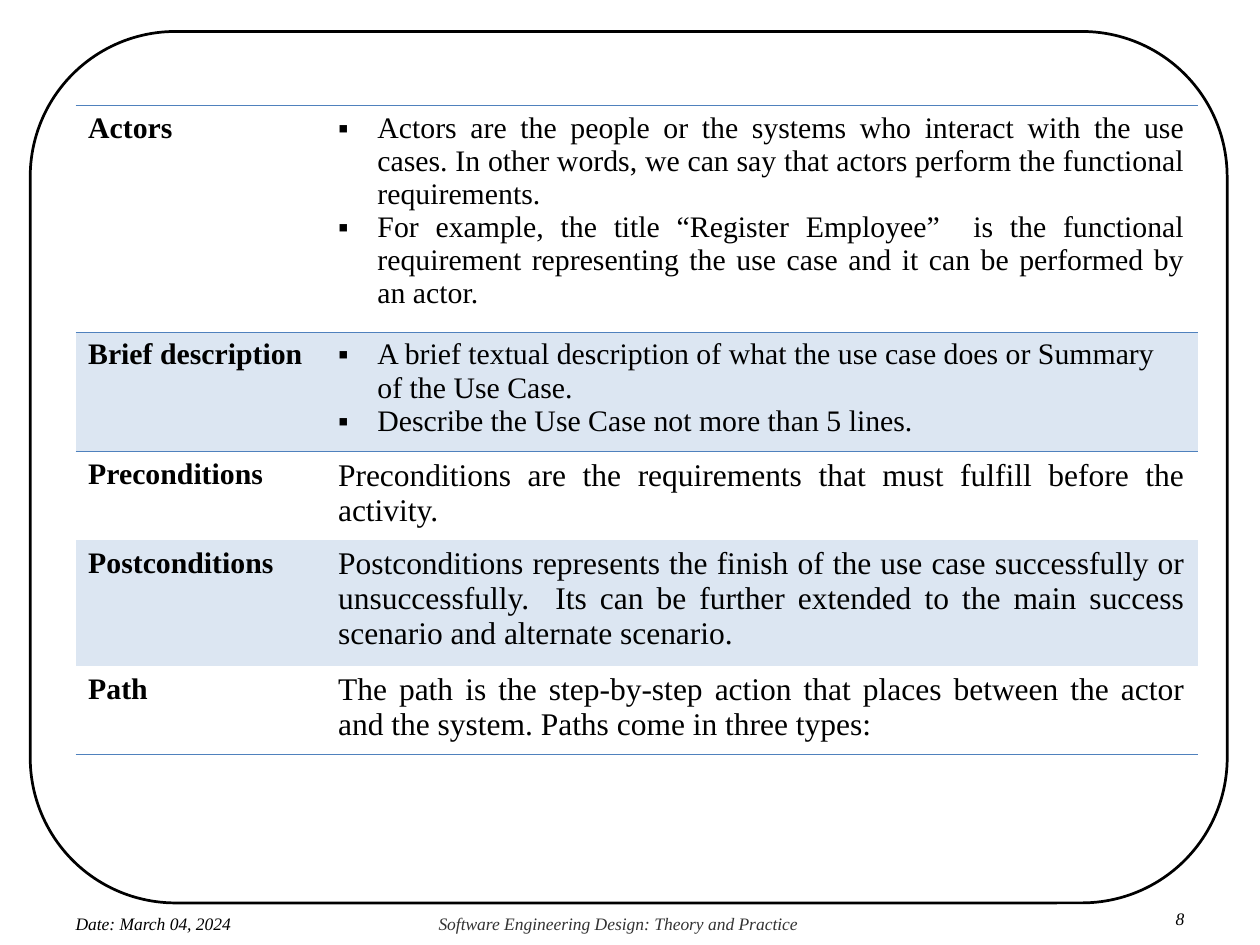
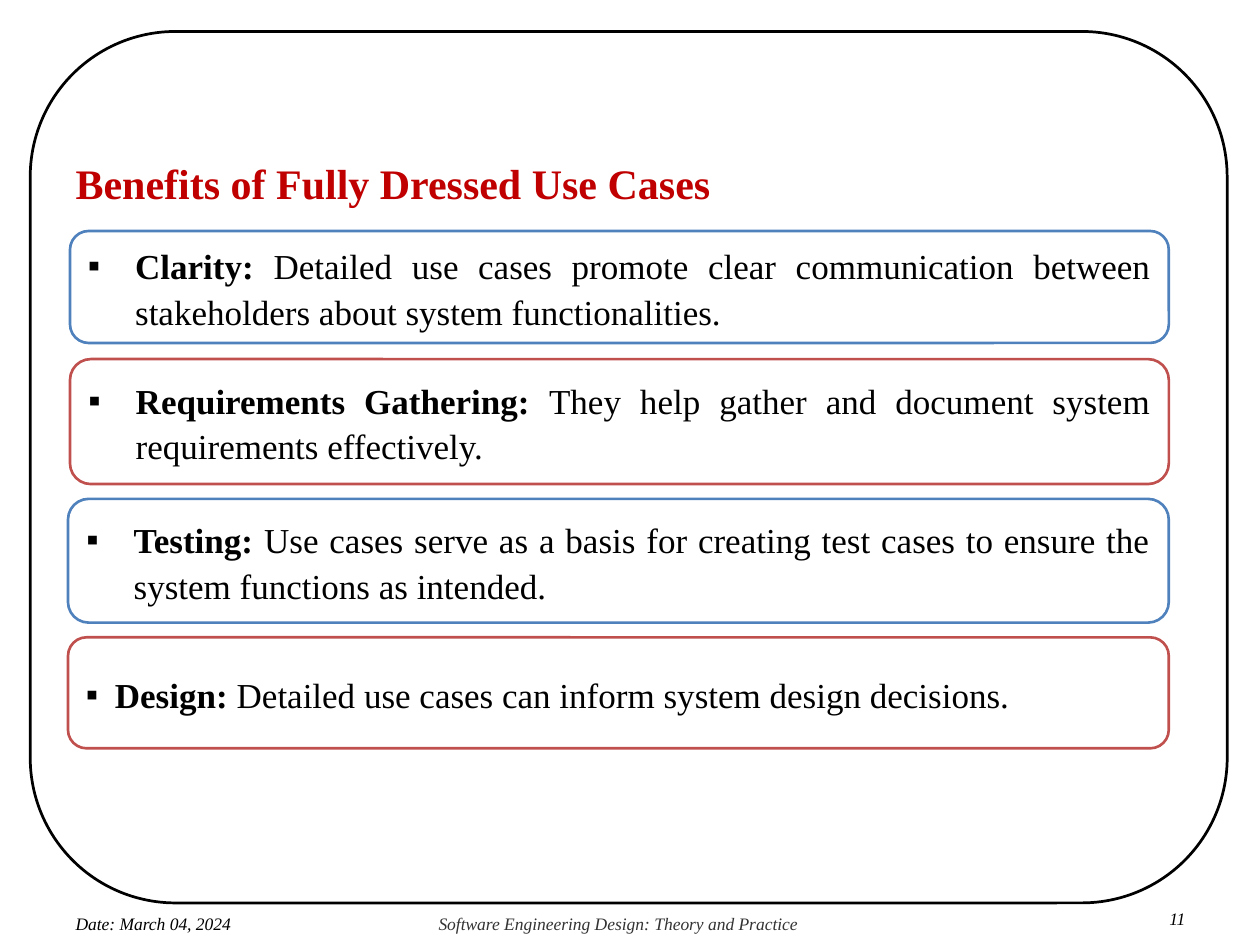
from lxml import etree
from pptx import Presentation
from pptx.dml.color import RGBColor
from pptx.enum import shapes, text
from pptx.oxml import ns
from pptx.util import Pt

BLACK = RGBColor(0x00, 0x00, 0x00)
WHITE = RGBColor(0xFF, 0xFF, 0xFF)
GREY = RGBColor(0x33, 0x33, 0x33)
BLUE = RGBColor(0x4F, 0x81, 0xBD)
RED = RGBColor(0xC0, 0x50, 0x4D)
TITLE_RED = RGBColor(0xC0, 0x00, 0x00)
BAND = RGBColor(0xDC, 0xE6, 0xF2)
FONT = "Times New Roman"
NO_TABLE_STYLE = "{2D5ABB26-0587-4C30-8999-92F81FD0307C}"


def add_bullet(paragraph, hang):
    properties = paragraph._p.get_or_add_pPr()
    properties.set("marL", str(Pt(hang)))
    properties.set("indent", str(-Pt(hang)))
    color = etree.SubElement(properties, ns.qn("a:buClr"))
    etree.SubElement(color, ns.qn("a:srgbClr")).set("val", str(BLACK))
    etree.SubElement(properties, ns.qn("a:buFont")).set("typeface", FONT)
    etree.SubElement(properties, ns.qn("a:buChar")).set("char", "▪")


def add_run(paragraph, words, color=BLACK, **formats):
    run = paragraph.add_run()
    run.text = words
    run.font.color.rgb = color
    for name, value in {"name": FONT, "bold": False, **formats}.items():
        setattr(run.font, name, value)


presentation = Presentation()
presentation.slide_width, presentation.slide_height = Pt(720), Pt(540)
layouts = presentation.slide_layouts
use_case_slide = presentation.slides.add_slide(layouts.get_by_name("Blank"))
benefits_slide = presentation.slides.add_slide(layouts.get_by_name("Title Only"))

# Frame and footers on both slides
for slide, number, number_left in (
    (use_case_slide, "8", 671.8),
    (benefits_slide, "11", 668.2),
):
    frame = slide.shapes.add_shape(
        shapes.MSO_SHAPE.ROUNDED_RECTANGLE, Pt(17.3), Pt(18), Pt(684), Pt(498)
    )
    frame.shadow.inherit = False
    frame.fill.background()
    frame.line.color.rgb = BLACK
    frame.line.width = Pt(1.56)
    for words, left, top, width, color in (
        ("Date: March 04, 2024", 43.2, 522, 114, BLACK),
        ("Software Engineering Design: Theory and Practice", 250.6, 522, 208, GREY),
        (number, number_left, 519.3, 14, BLACK),
    ):
        footer = slide.shapes.add_textbox(Pt(left), Pt(top), Pt(width), Pt(11.8))
        frame_formats = dict(
            margin_left=0, margin_right=0, margin_top=0, margin_bottom=0, word_wrap=True
        )
        for name, value in frame_formats.items():
            setattr(footer.text_frame, name, value)
        paragraph = footer.text_frame.paragraphs[0]
        paragraph.line_spacing = Pt(11.8)
        add_run(paragraph, words, color, size=Pt(10), italic=True)

# Use case table: label, row height, text size, bulleted, justified, paragraphs
JUSTIFY, LEFT = text.PP_ALIGN.JUSTIFY, text.PP_ALIGN.LEFT
ROWS = [
    ("Actors", 129.6, 17, True, JUSTIFY, [
        "Actors are the people or the systems who interact with the use cases. "
        "In other words, we can say that actors perform the functional requirements. ",
        "For example, the title “Register Employee”  is the functional requirement "
        "representing the use case and it can be performed by an actor.",
    ]),
    ("Brief description", 68.4, 17, True, LEFT, [
        "A brief textual description of what the use case does or Summary of the Use Case.",
        "Describe the Use Case not more than 5 lines.",
    ]),
    ("Preconditions", 50.4, 18, False, JUSTIFY, [
        "Preconditions are the requirements that must fulfill before the activity.",
    ]),
    ("Postconditions", 72, 18, False, JUSTIFY, [
        "Postconditions represents the finish of the use case successfully or "
        "unsuccessfully.  Its can be further extended to the main success scenario "
        "and alternate scenario.",
    ]),
    ("Path", 50.4, 18, False, JUSTIFY, [
        "The path is the step-by-step action that places between the actor and the "
        "system. Paths come in three types:",
    ]),
]
table = use_case_slide.shapes.add_table(
    len(ROWS), 2, Pt(43.2), Pt(60), Pt(641.2), Pt(370.8)
).table
table.first_row = table.horz_banding = False
table._tbl.tblPr.find(ns.qn("a:tableStyleId")).text = NO_TABLE_STYLE
table.columns[0].width, table.columns[1].width = Pt(142.8), Pt(498.4)

for index, (label, height, size, bulleted, alignment, items) in enumerate(ROWS):
    table.rows[index].height = Pt(height)
    label_cell, detail_cell = table.cell(index, 0), table.cell(index, 1)
    add_run(label_cell.text_frame.paragraphs[0], label, size=Pt(17), bold=True)

    for position, item in enumerate(items):
        detail = detail_cell.text_frame
        paragraph = detail.add_paragraph() if position else detail.paragraphs[0]
        paragraph.alignment = alignment
        if bulleted:
            add_bullet(paragraph, 22.5)
        add_run(paragraph, item, size=Pt(size))

    # Rules above and below the first row and below the last; odd rows shaded
    edges = {0: ("lnT", "lnB"), 1: ("lnT",), len(ROWS) - 1: ("lnB",)}.get(index, ())
    for cell in (label_cell, detail_cell):
        for edge in edges:
            line = etree.SubElement(cell._tc.get_or_add_tcPr(), ns.qn("a:" + edge))
            line.set("w", str(Pt(0.45)))
            fill = etree.SubElement(line, ns.qn("a:solidFill"))
            etree.SubElement(fill, ns.qn("a:srgbClr")).set("val", str(BLUE))
        if index % 2:
            cell.fill.solid()
            cell.fill.fore_color.rgb = BAND
        else:
            cell.fill.background()

# Benefits title
title = benefits_slide.shapes.title
title.left, title.top, title.width, title.height = Pt(43.2), Pt(86.4), Pt(621.4), Pt(32)
title_formats = dict(
    margin_left=0, margin_right=0, margin_top=Pt(3.6), margin_bottom=0, word_wrap=True,
    auto_size=text.MSO_AUTO_SIZE.NONE, vertical_anchor=text.MSO_ANCHOR.TOP,
)
for name, value in title_formats.items():
    setattr(title.text_frame, name, value)
paragraph = title.text_frame.paragraphs[0]
paragraph.alignment = LEFT
add_run(paragraph, "Benefits of Fully Dressed Use Cases", TITLE_RED, size=Pt(24), bold=True)

# Benefit cards: left, top, height, bullet indent, heading, description
CARDS = [
    (40, 132, 64, 27, "Clarity: ",
     "Detailed use cases promote clear communication between stakeholders "
     "about system functionalities."),
    (40, 205.2, 71.4, 27, "Requirements Gathering: ",
     "They help gather and document system requirements effectively."),
    (38.9, 285.1, 70.7, 27, "Testing: ",
     "Use cases serve as a basis for creating test cases to ensure the system "
     "functions as intended."),
    (38.9, 364.2, 63.4, 16.6, "Design: ",
     "Detailed use cases can inform system design decisions."),
]
CARD_RIGHT = 667.9
for index, (left, top, height, hang, heading, description) in enumerate(CARDS):
    card = benefits_slide.shapes.add_shape(
        shapes.MSO_SHAPE.ROUNDED_RECTANGLE,
        Pt(left), Pt(top), Pt(CARD_RIGHT - left), Pt(height),
    )
    card.shadow.inherit = False
    card.fill.solid()
    card.fill.fore_color.rgb = WHITE
    card.line.color.rgb = RED if index % 2 else BLUE
    card.line.width = Pt(1.5)
    card.text_frame.word_wrap = True
    card.text_frame.vertical_anchor = text.MSO_ANCHOR.MIDDLE
    paragraph = card.text_frame.paragraphs[0]
    add_bullet(paragraph, hang)
    paragraph.alignment = JUSTIFY
    paragraph.line_spacing = 1.08
    add_run(paragraph, heading, size=Pt(20), bold=True)
    add_run(paragraph, description, size=Pt(20))

presentation.save("out.pptx")
